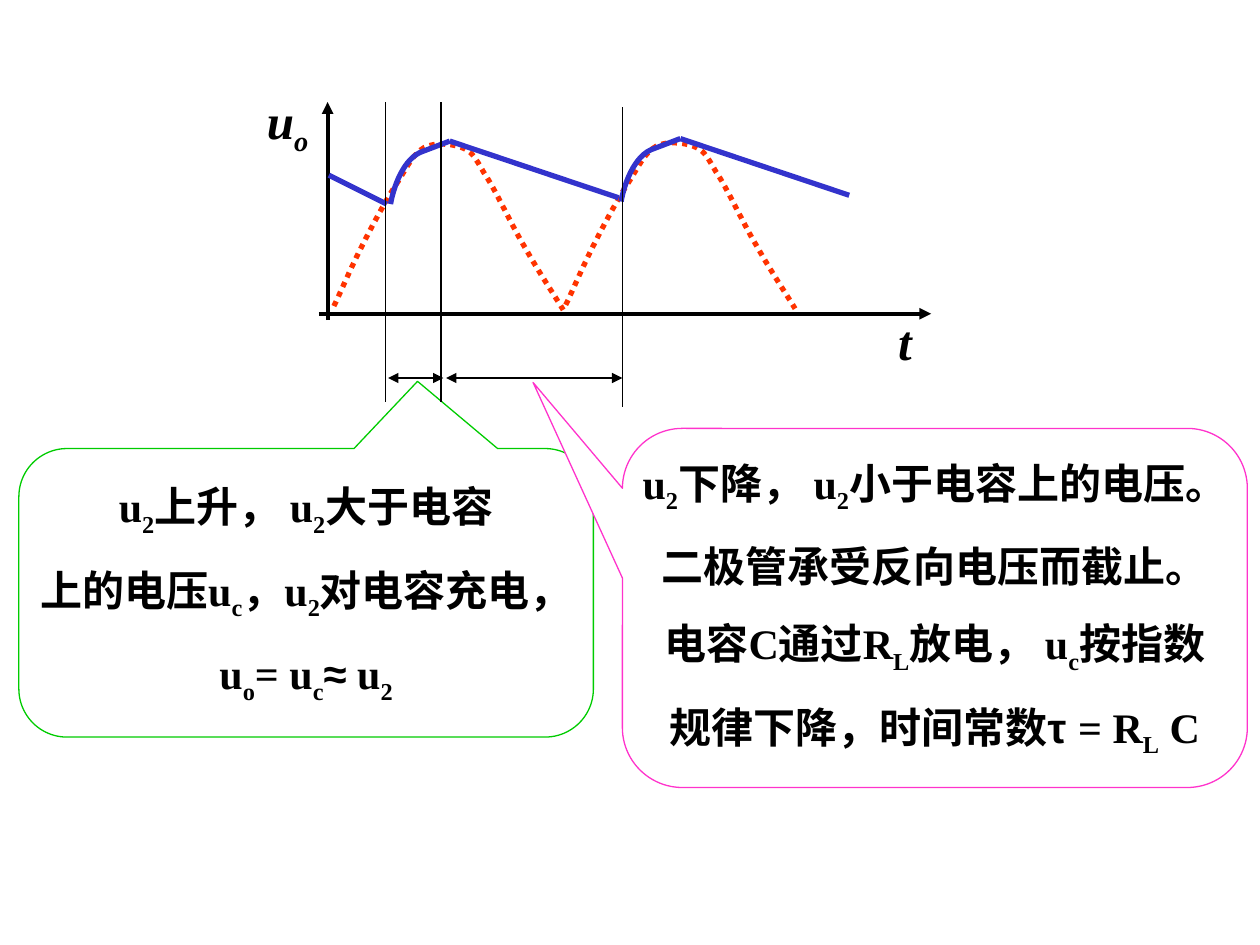
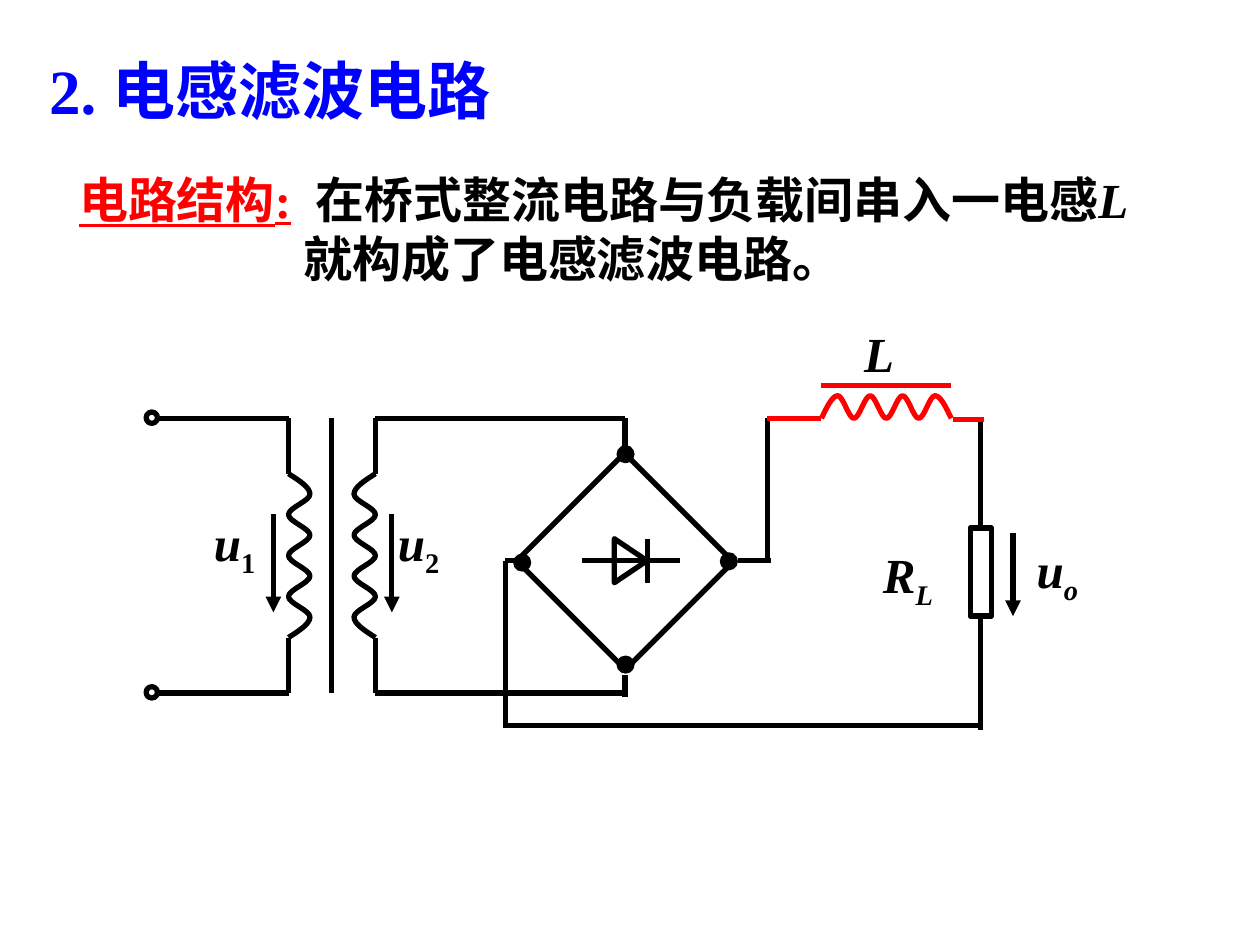
from lxml import etree
from pptx import Presentation, util as u
from pptx.dml.color import RGBColor
from pptx.enum import dml, shapes, text
from pptx.oxml.ns import qn

COLUMNS, ROWS = 10, 7.5
BLACK, WHITE, RED, BLUE = "000000", "FFFFFF", "FF0000", "0000FF"
WAVE_BLUE, WAVE_ORANGE, GREEN, PINK = "3333CC", "FF3300", "00CC00", "FF33CC"
SERIF, SANS = "Times New Roman", "Arial"
TITLE_ONLY, BLANK = 5, 6


def rgb(hex_color):
    """Turn a hex string into a colour."""
    return RGBColor.from_string(hex_color)


class Board:
    """Hold the shared style and draw on the current slide in grid cells."""

    def __init__(self):
        """Open a presentation whose grid is 10 columns by 7.5 rows."""
        self.deck = Presentation()
        self.deck.slide_width = u.Inches(COLUMNS)
        self.deck.slide_height = u.Inches(ROWS)
        self.cell = self.deck.slide_width / COLUMNS

    def grid(self, *cells):
        """Turn columns and rows into lengths."""
        return [u.Emu(round(cell * self.cell)) for cell in cells]

    def start(self, layout):
        """Add a slide and make it current."""
        self.slide = self.deck.slides.add_slide(self.deck.slide_layouts[layout])
        self.shapes = self.slide.shapes

    def add_runs(self, paragraph, pieces, size, color=BLACK, italic=False):
        """Add pieces as bold runs; an underscore lowers the next character."""
        for piece in pieces:
            words, special = piece if isinstance(piece, tuple) else (piece, {})
            first, *lowered = words.split("_")
            parts = [(first, False)]
            for part in lowered:
                parts += [(part[0], True), (part[1:], False)]
            for content, is_subscript in parts:
                if not content:
                    continue
                run = paragraph.add_run()
                run.text = content
                font = run.font
                font.size, font.bold = u.Pt(size), True
                font.name = special.get("name", SERIF)
                font.color.rgb = rgb(special.get("color", color))
                font.underline = special.get("underline", False)
                upright = is_subscript and content.isdigit()
                font.italic = special.get("italic", italic) and not upright
                if is_subscript:
                    font._element.set("baseline", "-25000")

    def frame(self, holder, wrap=True, anchor=text.MSO_ANCHOR.TOP):
        """Set the wrapping and margins of a text frame."""
        frame = holder.text_frame
        frame.word_wrap, frame.vertical_anchor = wrap, anchor
        frame.auto_size = text.MSO_AUTO_SIZE.NONE
        frame.margin_left = frame.margin_right = u.Inches(0.1)
        frame.margin_top = frame.margin_bottom = u.Inches(0.05)
        return frame

    def title(self, box, heading):
        """Move and format the title placeholder."""
        holder = self.shapes.title
        holder.left, holder.top, holder.width, holder.height = self.grid(*box)
        paragraph = self.frame(holder, False, text.MSO_ANCHOR.MIDDLE).paragraphs[0]
        paragraph.alignment = text.PP_ALIGN.LEFT
        self.add_runs(paragraph, [heading], 36, BLUE)

    def symbol(self, box, name):
        """Label a quantity in bold italics."""
        frame = self.frame(self.shapes.add_textbox(*self.grid(*box)))
        self.add_runs(frame.paragraphs[0], [name], 28, italic=True)

    def statement(self, box, pieces, hang):
        """Add a paragraph with a hanging indent."""
        frame = self.frame(self.shapes.add_textbox(*self.grid(*box)),
                           anchor=text.MSO_ANCHOR.MIDDLE)
        paragraph = frame.paragraphs[0]
        indent, = self.grid(hang)
        properties = paragraph._p.get_or_add_pPr()
        properties.set("marL", str(indent))
        properties.set("indent", str(-indent))
        self.add_runs(paragraph, pieces, 28)

    def outline(self, item, color, width):
        """Colour an outline."""
        item.line.color.rgb = rgb(color)
        item.line.width = u.Pt(width)

    def wire(self, *points, color=BLACK, width=3, ends=()):
        """Join points by straight connectors with optional arrowheads."""
        for begin, end in zip(points, points[1:]):
            link = self.shapes.add_connector(
                shapes.MSO_CONNECTOR.STRAIGHT, *self.grid(*begin, *end))
            self.outline(link, color, width)
            for arrow in ends:
                etree.SubElement(link.line._get_or_add_ln(), qn(f"a:{arrow}"),
                                 type="triangle")
            etree.SubElement(link._element.spPr, qn("a:effectLst"))

    def shape(self, preset, box, color=BLACK, width=3, fill=None, turn=0):
        """Add a flat preset shape."""
        item = self.shapes.add_shape(preset, *self.grid(*box))
        item.shadow.inherit = False
        item.rotation = turn
        if fill:
            item.fill.solid()
            item.fill.fore_color.rgb = rgb(fill)
        else:
            item.fill.background()
        self.outline(item, color, width)
        return item

    def curve(self, points, color=BLACK, dash=None):
        """Draw cubic curves through a start and triples of points."""
        start, *rest = [self.grid(*point) for point in points]
        builder = self.shapes.build_freeform(*start)
        builder.add_line_segments(rest, close=False)
        item = builder.convert_to_shape()
        item.shadow.inherit = False
        item.fill.background()
        self.outline(item, color, 3)
        if dash:
            item.line.dash_style = dash
        route = item._element.find(".//" + qn("a:path"))
        steps = route.findall(qn("a:lnTo"))
        for i in range(0, len(steps), 3):
            bend = etree.SubElement(route, qn("a:cubicBezTo"))
            for step in steps[i:i + 3]:
                bend.append(step[0])
                route.remove(step)

    def coil(self, start, length, depth, color=BLACK, level=False):
        """Wind a coil of eight half turns down, or along a level line."""
        half = length / 8
        turns = [(0, 0)]
        for k in range(8):
            before, after = (0, depth) if k % 2 == 0 else (depth, 0)
            turns += [(depth / 2 if k == 0 else before, (k + 1 / 3) * half),
                      (depth / 2 if k == 7 else after, (k + 2 / 3) * half),
                      (after, (k + 1) * half)]
        x, y = start
        self.curve([(x + along, y + out) if level else (x + out, y + along)
                    for out, along in turns], color)

    def callout(self, box, color, pointer, lines):
        """Add a speech bubble with centred lines."""
        bubble = self.shape(shapes.MSO_SHAPE.ROUNDED_RECTANGULAR_CALLOUT,
                            box, color, 0.75, WHITE)
        for i, value in enumerate((*pointer, 0.167)):
            bubble.adjustments[i] = value
        frame = self.frame(bubble, False, text.MSO_ANCHOR.MIDDLE)
        for i, pieces in enumerate(lines):
            paragraph = frame.add_paragraph() if i else frame.paragraphs[0]
            paragraph.alignment = text.PP_ALIGN.CENTER
            if i:
                paragraph.space_before = u.Pt(15)
            self.add_runs(paragraph, pieces, 24)


def shifted(points, dx, dy):
    """Move points by an offset."""
    return [(x + dx, y + dy) for x, y in points]


def waveform_slide(board):
    """Show the capacitor filter's waveform and its two phases."""
    board.start(BLANK)
    rectified = [
        (2.65, 2.43), (2.69, 2.35), (2.8, 2.09), (2.89, 1.92),
        (2.97, 1.76), (3.08, 1.56), (3.16, 1.44),
        (3.24, 1.31), (3.28, 1.22), (3.37, 1.17),
        (3.45, 1.13), (3.58, 1.14), (3.66, 1.17),
        (3.74, 1.2), (3.76, 1.23), (3.84, 1.37),
        (3.93, 1.5), (4.06, 1.79), (4.17, 1.97),
        (4.27, 2.15), (4.41, 2.36), (4.47, 2.46)]
    charging = [(3.1, 1.62), (3.12, 1.5), (3.2, 1.25), (3.36, 1.2),
                (3.44, 1.17), (3.57, 1.12), (3.57, 1.12)]
    discharging = [(3.57, 1.12), (4.91, 1.57)]
    for dx, dy in ((0, 0), (1.84, -0.01)):
        board.curve(shifted(rectified, dx, dy), WAVE_ORANGE,
                    dml.MSO_LINE.ROUND_DOT)
    board.symbol((2.02, 0.67, 0.67, 0.63), "u_o")
    board.symbol((7.03, 2.42, 0.71, 0.57), "t")
    for axis in (((2.53, 2.49), (7.39, 2.49)), ((2.6, 2.54), (2.6, 0.81))):
        board.wire(*axis, width=2.25, ends=["tailEnd"])
    board.wire((2.61, 1.39), (3.07, 1.62), color=WAVE_BLUE)
    for dx, dy in ((0, 0), (1.83, -0.02)):
        board.curve(shifted(charging, dx, dy), WAVE_BLUE)
        board.wire(*shifted(discharging, dx, dy), color=WAVE_BLUE)
    board.callout((0.15, 3.56, 4.56, 2.29), GREEN, (0.194, -0.733), [
        ["u_2上升， u_2大于电容"],
        ["上的电压u_c，u_2对电容充电，"],
        ["u_o= u_c", ("≈", {"name": SANS}), " u_2"]])
    for x, top in ((3.06, 0.81), (3.5, 0.81), (4.94, 0.85)):
        board.wire((x, top), (x, top + 2.38), width=0.75)
    for left, right in ((3.08, 3.52), (3.54, 4.94)):
        board.wire((left, 3), (right, 3), width=0.75,
                   ends=["headEnd", "tailEnd"])
    board.callout((4.94, 3.4, 4.96, 2.85), PINK, (-0.643, -0.628), [
        ["u_2下降， u_2小于电容上的电压。"],
        ["二极管承受反向电压而截止。"],
        ["电容C通过R_L放电， u_c按指数"],
        ["规律下降，时间常数", ("τ ", {"name": SANS}), "= R_L C"]])


def inductor_slide(board):
    """Show the circuit of the inductor filter."""
    board.start(TITLE_ONLY)
    board.title((0.29, 0.36, 3.82, 0.7), "2. 电感滤波电路")
    board.statement((0.53, 1.29, 8.76, 1.04), [
        ("电路结构:", {"color": RED, "underline": True}),
        "  在桥式整流电路与负载间串入一电感",
        ("L", {"italic": True}), "就构成了电感滤波电路。"], hang=1.78)

    oval, box = shapes.MSO_SHAPE.OVAL, shapes.MSO_SHAPE.RECTANGLE
    top, bottom, middle = 3.32, 5.5, 4.45
    coil_top, coil_length = 3.76, 1.3
    primary, core, secondary, bridge = 2.29, 2.63, 2.98, 4.96
    for rail, coil_end in ((top, coil_top), (bottom, coil_top + coil_length)):
        board.shape(oval, (1.16, rail - 0.05, 0.09, 0.09))
        board.wire((1.25, rail), (primary, rail), (primary, coil_end))
        board.wire((bridge, rail), (secondary, rail), (secondary, coil_end))
    board.coil((primary, coil_top), coil_length, 0.17)
    board.coil((secondary, coil_top), coil_length, -0.17)
    board.wire((core, top), (core, bottom))

    board.wire((bridge, top), (bridge, 3.58))
    board.wire((bridge, 5.36), (bridge, 5.53))
    board.shape(box, (4.35, 3.85, 1.22, 1.21), turn=45)
    board.wire((4.62, middle), (5.4, middle))
    board.wire((5.14, 4.28), (5.14, 4.63))
    board.shape(shapes.MSO_SHAPE.ISOSCELES_TRIANGLE,
                (4.83, 4.32, 0.35, 0.26), turn=90)
    board.wire((4.1, middle), (4.01, middle), (4.01, 5.76))
    board.wire((3.99, 5.76), (7.79, 5.76))
    board.wire((5.86, middle), (6.12, middle))
    board.wire((6.09, middle), (6.09, top))
    for x, y in ((5.72, 4.39), (4.9, 3.54), (4.08, 4.4), (4.9, 5.21)):
        board.shape(oval, (x, y, 0.13, 0.13), width=1, fill=BLACK)

    board.wire((7.78, 3.34), (7.78, 5.79))
    board.wire((6.09, top), (6.52, top), color=RED)
    board.coil((6.52, top), 1.03, -0.18, RED, level=True)
    board.wire((7.56, 3.33), (7.81, 3.33), color=RED)
    board.wire((6.52, 3.06), (7.55, 3.06), color=RED)
    board.shape(box, (7.7, 4.19, 0.17, 0.7), fill=WHITE)

    for x, start, end in ((2.17, 4.08, 4.86), (3.11, 4.08, 4.86),
                          (8.04, 4.23, 4.89)):
        board.wire((x, start), (x, end), ends=["tailEnd"])
    for name, x, y in (("u_1", 1.6, 4.02), ("u_2", 3.06, 4.02),
                       ("R_L", 6.91, 4.27), ("L", 6.76, 2.52),
                       ("u_o", 8.13, 4.23)):
        board.symbol((x, y, 0.9, 0.63), name)


def main():
    """Build both slides and save them."""
    board = Board()
    waveform_slide(board)
    inductor_slide(board)
    board.deck.save("out.pptx")


if __name__ == "__main__":
    main()
